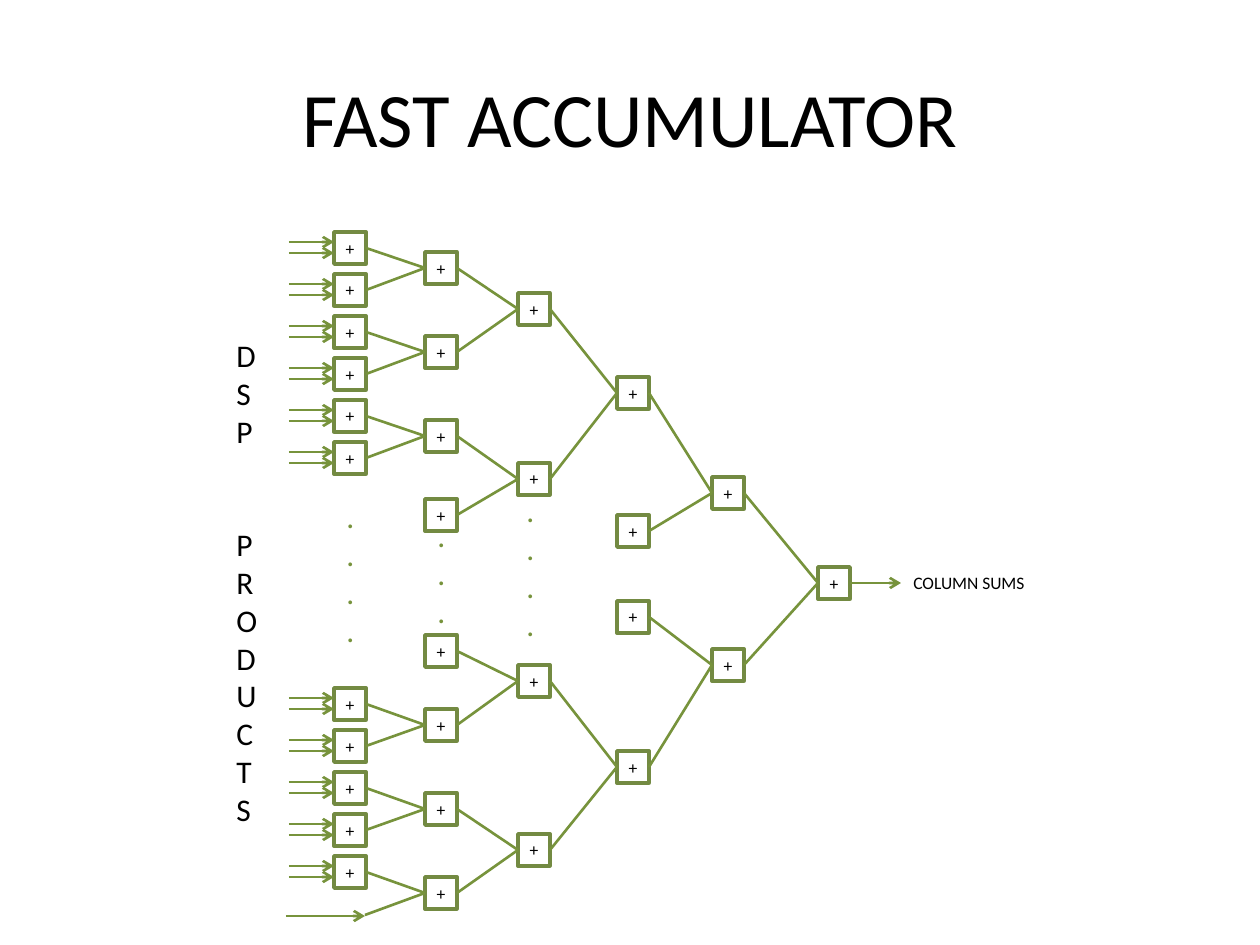
"""Build the fast accumulator slide: a tree of adders fed by DSP products."""
from dataclasses import dataclass

from lxml import etree
from pptx import Presentation
from pptx import util as u
from pptx.dml.color import RGBColor
from pptx.enum import shapes, text
from pptx.oxml.ns import qn


@dataclass(frozen=True)
class Theme:
    """Colours, font and type sizes of the slide."""
    font: str = "Calibri"
    ink: str = "000000"
    edge: str = "738A42"
    wire: str = "77933C"
    title: int = 44
    label: int = 18
    small: int = 10
    edge_pt: float = 2
    wire_pt: float = 1.5


THEME = Theme()
SCALE = 914400 / 126
SIDE = 32
STEP = 42
COLS = [334, 425, 518, 617, 712, 818]
ROWS = [
    [248 + STEP * i for i in range(6)] + [704 + STEP * i for i in range(5)],
    [268, 352, 436, 515, 651, 725, 809, 893],
    [309, 479, 681, 850],
    [393, 531, 617, 767],
    [493, 665],
    [583],
]
LINKS = [
    [0, 0, 1, 1, 2, 2, 5, 5, 6, 6, 7],
    [0, 0, 1, 1, 2, 2, 3, 3],
    [0, 0, 3, 3],
    [0, 0, 1, 1],
    [0, 0],
]


def px(n):
    """Turn pixels into EMU."""
    return u.Emu(round(n * SCALE))


def write(frame, lines, size=THEME.label, color=THEME.ink, align=None,
          anchor=None, inset=None, gap=0):
    """Fill a text frame with one paragraph a line, gap points apart."""
    frame.word_wrap = True
    if anchor is not None:
        frame.vertical_anchor = anchor
    if inset is not None:
        frame.margin_left = frame.margin_right = px(inset)
        frame.margin_top = frame.margin_bottom = px(inset)
    for i, line in enumerate(lines):
        para = frame.add_paragraph() if i else frame.paragraphs[0]
        para.alignment = align
        if i and gap:
            para.space_before = u.Pt(gap)
        run = para.add_run()
        run.text = line
        run.font.name = THEME.font
        run.font.size = u.Pt(size)
        run.font.color.rgb = RGBColor.from_string(color)


def label(slide, x, y, w, h, lines, **style):
    """Add a text box."""
    box = slide.shapes.add_textbox(px(x), px(y), px(w), px(h))
    write(box.text_frame, lines, **style)


def adder(slide, x, mid):
    """Add a plus box centred on height mid."""
    box = slide.shapes.add_shape(shapes.MSO_SHAPE.RECTANGLE, px(x),
                                 px(mid - SIDE // 2), px(SIDE), px(SIDE))
    box.shadow.inherit = False
    box.fill.background()
    box.line.color.rgb = RGBColor.from_string(THEME.edge)
    box.line.width = u.Pt(THEME.edge_pt)
    write(box.text_frame, ["+"], size=THEME.small, inset=0,
          align=text.PP_ALIGN.CENTER, anchor=text.MSO_ANCHOR.MIDDLE)
    return box


def wire(slide, start=(0, 0), end=(0, 0), src=None, dst=None, arrow=False):
    """Add a line between points, or joined to the boxes src and dst."""
    line = slide.shapes.add_connector(shapes.MSO_CONNECTOR.STRAIGHT,
                                      *map(px, start + end))
    if src is not None:
        line.begin_connect(src, 3)
    if dst is not None:
        line.end_connect(dst, 1)
    line.line.color.rgb = RGBColor.from_string(THEME.wire)
    line.line.width = u.Pt(THEME.wire_pt)
    if arrow:
        etree.SubElement(line.line._get_or_add_ln(), qn("a:tailEnd"),
                         type="arrow")
    etree.SubElement(line._element.spPr, qn("a:effectLst"))


def tree(slide):
    """Draw the adders with the wires between columns and return them."""
    grid = [[adder(slide, x, mid) for mid in mids]
            for x, mids in zip(COLS, ROWS)]
    for col, after, links in zip(grid, grid[1:], LINKS):
        for box, i in zip(col, links):
            wire(slide, src=box, dst=after[i])
    return grid


def feeds(slide, grid):
    """Draw the product inputs, the odd last input and the output."""
    for mid in ROWS[0]:
        for y in (mid - 6, mid + 5):
            wire(slide, (COLS[0] - 45, y), (COLS[0], y), arrow=True)
    wire(slide, (286, 916), (365, 916), arrow=True)
    wire(slide, (365, 915), dst=grid[1][-1])
    wire(slide, end=(901, ROWS[-1][0]), src=grid[-1][0], arrow=True)


def main():
    """Build and save the slide."""
    deck = Presentation()
    deck.slide_width, deck.slide_height = px(1260), px(945)
    slide = deck.slides.add_slide(deck.slide_layouts[5])
    head = slide.shapes.title
    head.left, head.top, head.width, head.height = map(px, (63, 38, 1134, 158))
    write(head.text_frame, ["FAST ACCUMULATOR"], size=THEME.title,
          align=text.PP_ALIGN.CENTER, anchor=text.MSO_ANCHOR.MIDDLE)
    feeds(slide, tree(slide))
    for x, y, n in ((425, 510, 3), (334, 491, 4), (514, 485, 4)):
        label(slide, x, y, 37, 13 + 38 * n, ["."] * n, color=THEME.wire)
    label(slide, 224, 330, 37, 509, ["DSP", "PRODUCTS"], gap=43.2)
    label(slide, 901, 566, 241, 34, ["COLUMN SUMS"], size=THEME.small)
    deck.save("out.pptx")


if __name__ == "__main__":
    main()
